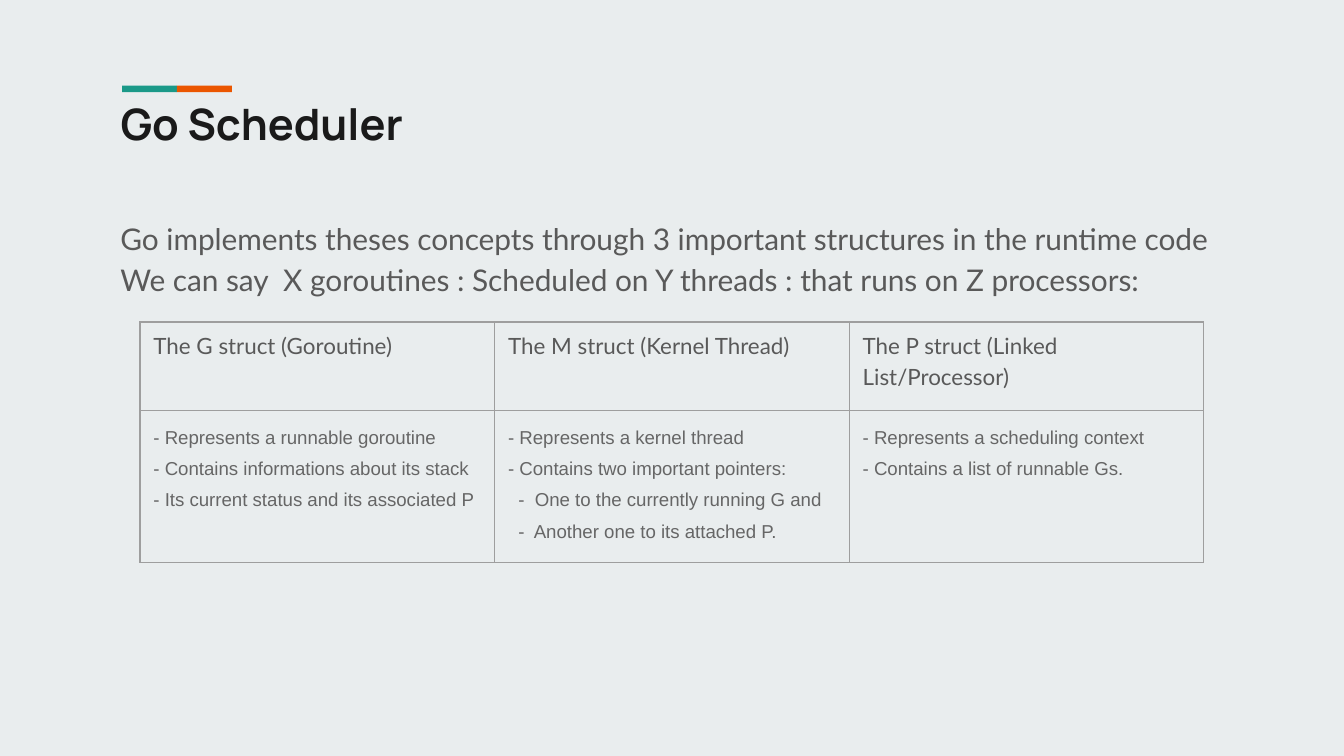
from lxml.etree import SubElement
from pptx import Presentation
from pptx.dml.color import RGBColor
from pptx.enum.shapes import MSO_SHAPE as Shape
from pptx.enum.text import MSO_ANCHOR as Anchor, MSO_AUTO_SIZE as AutoSize, PP_ALIGN as Align
from pptx.oxml.ns import qn
from pptx.util import Pt

BACKGROUND, TEAL, ORANGE = "E9EDEE", "1A9988", "EB5600"
TITLE_INK, BODY_INK, DETAIL_INK, BORDER = "1A1A1A", "595959", "666666", "9E9E9E"

STRUCTS = [
    ("The G struct (Goroutine)", [
        (0, "- Represents a runnable goroutine"),
        (0, "- Contains informations about its stack"),
        (0, "- Its current status and its associated P"),
    ]),
    ("The M struct (Kernel Thread)", [
        (0, "- Represents a kernel thread"),
        (0, "- Contains two important pointers:"),
        (1, "-  One to the currently running G and"),
        (1, "-  Another one to its attached P."),
    ]),
    ("The P struct (Linked List/Processor)", [
        (0, "- Represents a scheduling context"),
        (0, "- Contains a list of runnable Gs."),
    ]),
]


def paint(fill, color):
    fill.solid()
    fill.fore_color.rgb = RGBColor.from_string(color)


def place(shape, left, top, width, height):
    shape.left, shape.top, shape.width, shape.height = map(Pt, (left, top, width, height))


def write(frame, lines, font_name, size, color, spacing, bold=False):
    for index, (level, text) in enumerate(lines):
        paragraph = frame.add_paragraph() if index else frame.paragraphs[0]
        paragraph.text = text
        paragraph.alignment = Align.LEFT
        paragraph.line_spacing = spacing
        paragraph.space_before = paragraph.space_after = Pt(0)
        if level:
            paragraph._p.get_or_add_pPr().set("marL", str(Pt(5.5 * level)))
        font = paragraph.font
        font.name, font.size, font.bold = font_name, Pt(size), bold
        font.color.rgb = RGBColor.from_string(color)


def set_up_frame(frame):
    frame.word_wrap = True
    frame.auto_size = AutoSize.NONE
    frame.vertical_anchor = Anchor.TOP
    frame.margin_left = frame.margin_right = frame.margin_top = frame.margin_bottom = Pt(7.2)


def add_accent(slide, left, top, width, height):
    half = width / 2
    for index, color in enumerate((TEAL, ORANGE)):
        bar = slide.shapes.add_shape(
            Shape.RECTANGLE, Pt(left + index * half), Pt(top), Pt(half), Pt(height))
        bar.shadow.inherit = False
        paint(bar.fill, color)
        bar.line.fill.background()


def add_title(slide, left, top, width, height):
    title = slide.shapes.title
    place(title, left, top, width, height)
    set_up_frame(title.text_frame)
    write(title.text_frame, [(0, "Go Scheduler")], "Manrope", 23.2, TITLE_INK, 0.8, True)


def add_introduction(slide, left, top, width, height):
    box = slide.shapes.add_textbox(Pt(left), Pt(top), Pt(width), Pt(height))
    set_up_frame(box.text_frame)
    text = ("Go implements theses concepts through 3 important structures in the runtime code "
            "We can say  X goroutines : Scheduled on Y threads : that runs on Z processors:")
    write(box.text_frame, [(0, text)], "Lato", 16, BODY_INK, 1.15)


def format_cell(cell):
    cell.margin_left = cell.margin_right = Pt(7.2)
    cell.margin_top = cell.margin_bottom = Pt(3.6)
    properties = cell._tc.get_or_add_tcPr()
    for side in ("lnL", "lnR", "lnT", "lnB"):
        line = SubElement(properties, qn(f"a:{side}"), w=str(Pt(0.75)))
        fill = SubElement(line, qn("a:solidFill"))
        SubElement(fill, qn("a:srgbClr"), val=BORDER)
    cell.fill.background()


def add_struct_table(slide, left, top, width, row_heights):
    table = slide.shapes.add_table(
        len(row_heights), len(STRUCTS), Pt(left), Pt(top), Pt(width), Pt(sum(row_heights))).table
    table.first_row = table.horz_banding = False
    for row, height in zip(table.rows, row_heights):
        row.height = Pt(height)
    for index, (heading, details) in enumerate(STRUCTS):
        table.columns[index].width = Pt(width / len(STRUCTS))
        head, body = table.cell(0, index), table.cell(1, index)
        format_cell(head)
        format_cell(body)
        write(head.text_frame, [(0, heading)], "Lato", 12, BODY_INK, 1.15)
        write(body.text_frame, details, "Arial", 10, DETAIL_INK, 1.5)


def main():
    presentation = Presentation()
    presentation.slide_width, presentation.slide_height = Pt(720), Pt(405)
    slide = presentation.slides.add_slide(presentation.slide_layouts[5])
    paint(slide.background.fill, BACKGROUND)
    add_accent(slide, 65.4, 45.9, 58.8, 3.5)
    add_introduction(slide, 57.4, 108, 605.5, 209.5)
    add_struct_table(slide, 75, 172.5, 570, (47.4, 81.4))
    add_title(slide, 57.4, 50.4, 605.5, 67.7)
    presentation.save("out.pptx")


if __name__ == "__main__":
    main()
